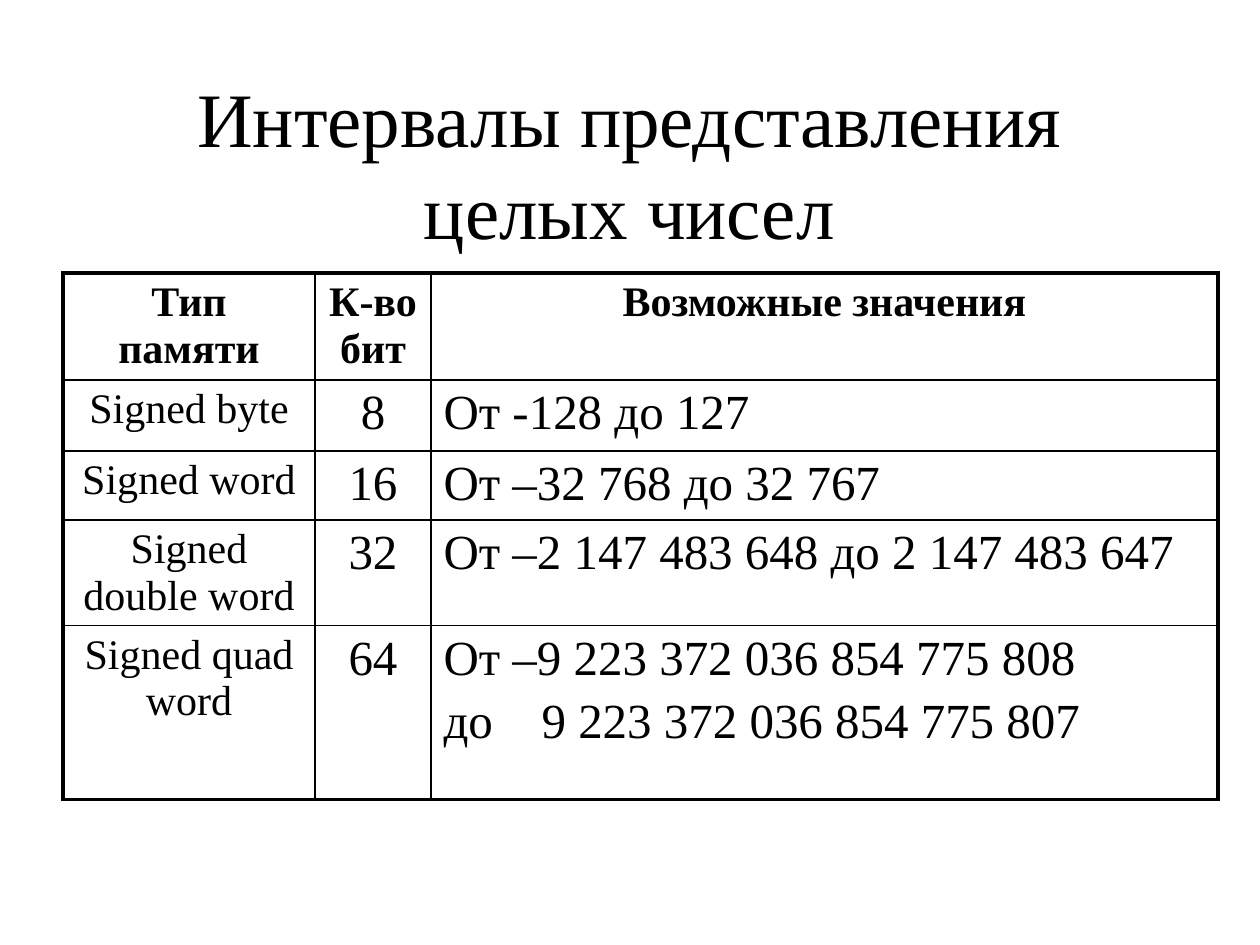
"""Build a slide with the ranges of signed integer types."""
from lxml import etree
from pptx import Presentation
from pptx.dml.color import RGBColor
from pptx.enum.text import MSO_ANCHOR, MSO_AUTO_SIZE, PP_ALIGN
from pptx.oxml.ns import qn
from pptx.util import Emu, Pt

MIDDLE = MSO_ANCHOR.MIDDLE
FIXED = MSO_AUTO_SIZE.NONE
CENTER = PP_ALIGN.CENTER
JUSTIFY = PP_ALIGN.JUSTIFY
SCALE = 914400 / 126
FONT = "Times New Roman"
COLORS = {"text": "000000", "line": "000000"}
THICK, THIN = 2.25, 1
TAB = 98
COLS = [252, 116, 787]
ROWS = [107, 71, 69, 105, 174]
DATA = [
    ["Тип памяти", "К-во бит", "Возможные значения"],
    ["Signed byte", "8", "От -128 до 127"],
    ["Signed word", "16", "От –32 768 до 32 767"],
    ["Signed double word", "32", "От –2 147 483 648 до 2 147 483 647"],
    ["Signed quad word", "64",
     "От –9 223 372 036 854 775 808\nдо\t9 223 372 036 854 775 807"],
]


def px(num):
    return Emu(round(num * SCALE))


def style(frame, size, align, bold=False):
    for para in frame.paragraphs:
        para.alignment = align
        for run in para.runs:
            font = run.font
            font.name, font.size, font.bold = FONT, Pt(size), bold
            font.color.rgb = RGBColor.from_string(COLORS["text"])


def add_title(slide, text):
    title = slide.shapes.title
    title.left, title.top = px(94), px(84)
    title.width, title.height = px(1071), px(158)
    frame = title.text_frame
    frame.text = text
    frame.auto_size = FIXED
    frame.word_wrap = True
    frame.vertical_anchor = MIDDLE
    style(frame, 44, CENTER)


def set_edges(cell, row, col):
    outer = {"L": col == 0, "R": col == len(COLS) - 1,
             "T": row == 0, "B": row == len(ROWS) - 1}
    props = cell._tc.get_or_add_tcPr()
    for spot, (side, thick) in enumerate(outer.items()):
        line = etree.Element(qn(f"a:ln{side}"),
                             w=str(Pt(THICK if thick else THIN)))
        fill = etree.SubElement(line, qn("a:solidFill"))
        etree.SubElement(fill, qn("a:srgbClr"), val=COLORS["line"])
        props.insert(spot, line)


def space_lines(frame):
    for para in frame.paragraphs[1:]:
        para.space_before = Pt(5)
        stops = etree.SubElement(para._p.get_or_add_pPr(), qn("a:tabLst"))
        etree.SubElement(stops, qn("a:tab"), pos=str(px(TAB)), algn="l")


def fill_cell(cell, row, col):
    frame = cell.text_frame
    frame.text = DATA[row][col]
    head = row == 0
    size = 24 if head or col == 0 else 28
    align = JUSTIFY if col == 2 and not head else CENTER
    style(frame, size, align, head)
    space_lines(frame)
    cell.fill.background()
    set_edges(cell, row, col)


def add_grid(slide):
    frame = slide.shapes.add_table(len(ROWS), len(COLS), px(63), px(273),
                                   px(sum(COLS)), px(sum(ROWS)))
    table = frame.table
    table.first_row = table.horz_banding = False
    for col, width in enumerate(COLS):
        table.columns[col].width = px(width)
    for row, height in enumerate(ROWS):
        table.rows[row].height = px(height)
        for col in range(len(COLS)):
            fill_cell(table.cell(row, col), row, col)


def main():
    deck = Presentation()
    deck.slide_width, deck.slide_height = px(1260), px(945)
    slide = deck.slides.add_slide(deck.slide_layouts[5])
    add_title(slide, "Интервалы представления целых чисел")
    add_grid(slide)
    deck.save("out.pptx")


if __name__ == "__main__":
    main()
